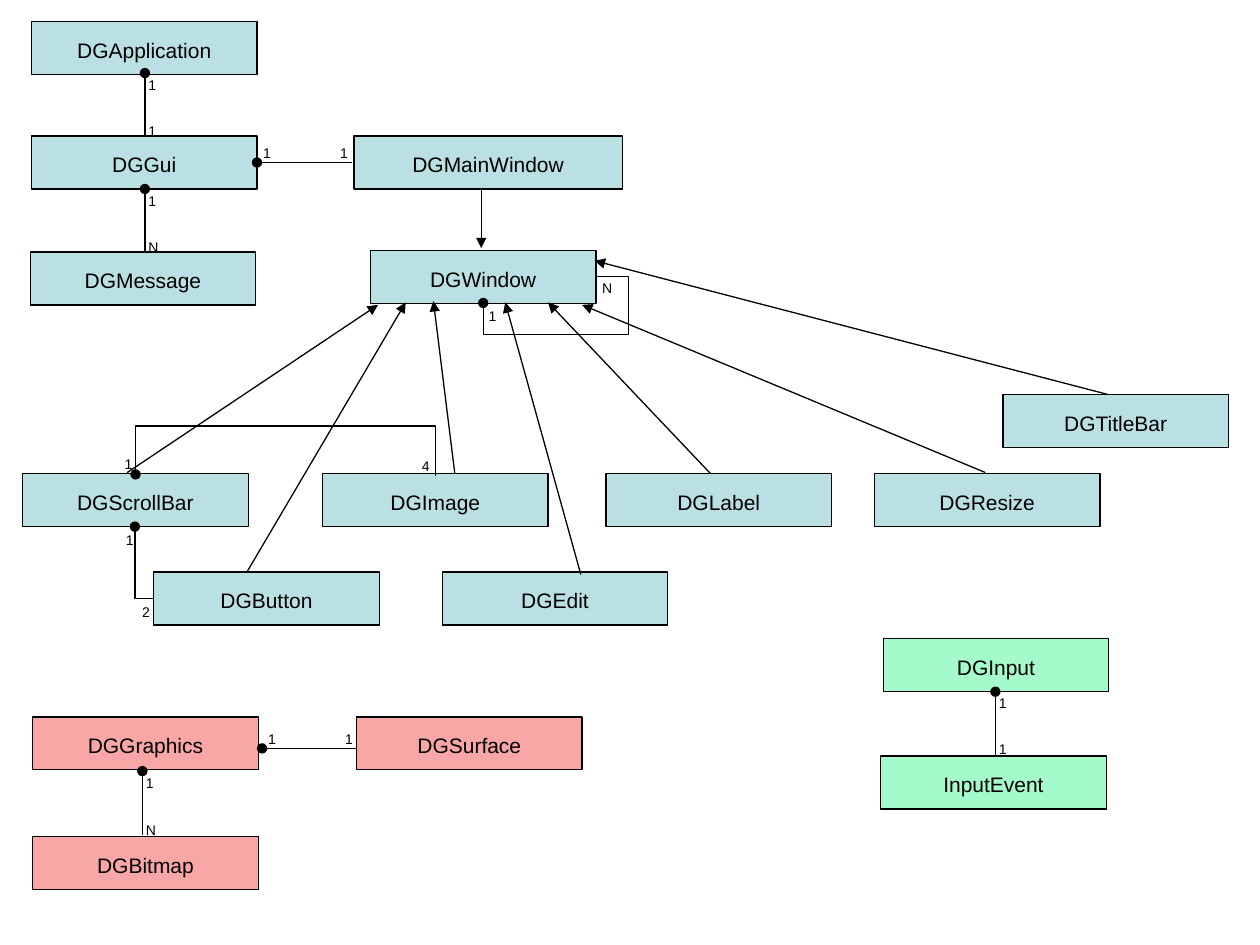
from dataclasses import dataclass
from lxml.etree import SubElement
from pptx import Presentation
from pptx.dml.color import RGBColor
from pptx.enum.shapes import MSO_CONNECTOR, MSO_SHAPE
from pptx.enum.text import MSO_ANCHOR, PP_ALIGN
from pptx.oxml.ns import qn
from pptx.util import Inches, Pt

COLORS = {"gui": "BBE0E3", "graphics": "F8A6A6", "input": "A4FACB", "ink": "000000"}
FONT = "Arial"
COLUMNS, ROWS = 100, 75
WIDTH, HEIGHT = Inches(10), Inches(7.5)
CLASS_WIDTH, CLASS_HEIGHT = 17.9, 4.2


def color(name):
    return RGBColor.from_string(COLORS[name])


def format_text(para, size):
    para.font.name = FONT
    para.font.size = Pt(size)
    para.font.color.rgb = color("ink")


@dataclass
class Region:
    page: object
    left: float
    top: float
    fill: str

    def x(self, column):
        return round((self.left + column) * WIDTH / COLUMNS)

    def y(self, row):
        return round((self.top + row) * HEIGHT / ROWS)

    def class_box(self, name, column, row, width=CLASS_WIDTH):
        left, top = self.x(column), self.y(row)
        box = self.page.shapes.add_shape(
            MSO_SHAPE.RECTANGLE, left, top,
            self.x(column + width) - left, self.y(row + CLASS_HEIGHT) - top)
        box.shadow.inherit = False
        box.fill.solid()
        box.fill.fore_color.rgb = color(self.fill)
        box.line.color.rgb = color("ink")
        box.line.width = Pt(0.75)
        frame = box.text_frame
        frame.margin_top = Inches(0.08)
        frame.vertical_anchor = MSO_ANCHOR.MIDDLE
        frame.text = name
        para = frame.paragraphs[0]
        para.alignment = PP_ALIGN.CENTER
        format_text(para, 12)

    def count(self, text, column, row):
        box = self.page.shapes.add_textbox(
            self.x(column), self.y(row), Inches(0.25), Inches(0.24))
        frame = box.text_frame
        frame.word_wrap = False
        frame.text = text
        format_text(frame.paragraphs[0], 8)

    def line(self, start, end, kind=MSO_CONNECTOR.STRAIGHT, head=None, tail=None):
        line = self.page.shapes.add_connector(
            kind, self.x(start[0]), self.y(start[1]), self.x(end[0]), self.y(end[1]))
        line.line.color.rgb = color("ink")
        line.line.width = Pt(0.75)
        properties = line._element.spPr
        outline = properties.find(qn("a:ln"))
        for tag, shape in (("a:headEnd", head), ("a:tailEnd", tail)):
            if shape:
                SubElement(outline, qn(tag), type=shape)
        SubElement(properties, qn("a:effectLst"))
        return line

    def arrow(self, start, end):
        self.line(start, end, tail="triangle")

    def link(self, start, end, near, far):
        self.line(start, end, head="oval")
        if start[0] == end[0]:
            near_shift, far_shift = (-0.7, -0.25), (-0.7, -1.6)
        else:
            near_shift, far_shift = (-0.5, -1.9), (-1.9, -1.9)
        self.count(near, start[0] + near_shift[0], start[1] + near_shift[1])
        self.count(far, end[0] + far_shift[0], end[1] + far_shift[1])

    def elbow(self, start, end, rotation, preset, bends=()):
        line = self.line(start, end, MSO_CONNECTOR.ELBOW, head="oval")
        properties = line._element.spPr
        properties.find(qn("a:xfrm")).set("rot", str(rotation * 60000))
        geometry = properties.find(qn("a:prstGeom"))
        geometry.set("prst", preset)
        guides = geometry.find(qn("a:avLst"))
        for number, bend in enumerate(bends, 1):
            name = "adj" if len(bends) == 0 else f"adj{number}"
            SubElement(guides, qn("a:gd"), name=name, fmla=f"val {round(bend * 100000)}")


def draw_application(page, left, top):
    region = Region(page, left, top, "gui")
    region.class_box("DGApplication", 0.1, 0)
    region.class_box("DGGui", 0.1, 9.1)
    region.class_box("DGMessage", 0, 18.3)
    region.class_box("DGMainWindow", 25.7, 9.1, 21.3)
    region.link((9.1, 4.1), (9.1, 9.1), "1", "1")
    region.link((9.1, 13.3), (9.1, 18.3), "1", "N")
    region.link((18, 11.2), (25.5, 11.2), "1", "1")
    region.arrow((35.8, 13.3), (35.8, 18))


def draw_windows(page, left, top):
    region = Region(page, left, top, "gui")
    region.class_box("DGWindow", 27.6, 0)
    children = [
        ("DGScrollBar", 0, 17.7, (8.3, 17.6), (28.2, 4.3)),
        ("DGButton", 10.4, 25.5, (17.8, 25.5), (30.4, 4.1)),
        ("DGImage", 23.8, 17.7, (34.3, 17.7), (32.6, 4)),
        ("DGEdit", 33.3, 25.5, (44.3, 25.7), (38.3, 4.1)),
        ("DGLabel", 46.3, 17.7, (54.6, 17.7), (41.7, 4.1)),
        ("DGResize", 67.6, 17.7, (76.4, 17.6), (44.4, 4.3)),
        ("DGTitleBar", 77.8, 11.4, (86.1, 11.4), (45.4, 0.8)),
    ]
    for name, column, row, start, end in children:
        region.class_box(name, column, row)
        region.arrow(start, end)
    region.elbow((42.1, 7.6), (40, -1.4), 90, "bentConnector4", (-1.2, 1.28))
    region.elbow((20.9, 5.9), (20.8, 29.7), 270, "bentConnector3", (-39,))
    region.elbow((12.5, 24), (6.8, 25.5), 270, "bentConnector2")
    counts = [("1", 36, 4), ("N", 45, 1.8), ("1", 7.1, 15.8),
              ("4", 30.7, 15.9), ("1", 7.2, 21.8), ("2", 8.5, 27.5)]
    for text, column, row in counts:
        region.count(text, column, row)


def draw_graphics(page, left, top):
    region = Region(page, left, top, "graphics")
    region.class_box("DGGraphics", 0, 0)
    region.class_box("DGBitmap", 0, 9.5)
    region.class_box("DGSurface", 25.7, 0)
    region.link((8.7, 4.3), (8.7, 9.4), "1", "N")
    region.link((18.2, 2.5), (25.7, 2.5), "1", "1")


def draw_input(page, left, top):
    region = Region(page, left, top, "input")
    region.class_box("DGInput", 0.2, 0)
    region.class_box("InputEvent", 0, 9.3)
    region.link((9.1, 4.2), (9.1, 9.2), "1", "1")


def main():
    deck = Presentation()
    deck.slide_width, deck.slide_height = WIDTH, HEIGHT
    page = deck.slides.add_slide(deck.slide_layouts[6])
    draw_application(page, 2.4, 1.7)
    draw_windows(page, 1.8, 19.9)
    draw_graphics(page, 2.6, 56.9)
    draw_input(page, 69.9, 50.7)
    deck.save("out.pptx")


if __name__ == "__main__":
    main()
